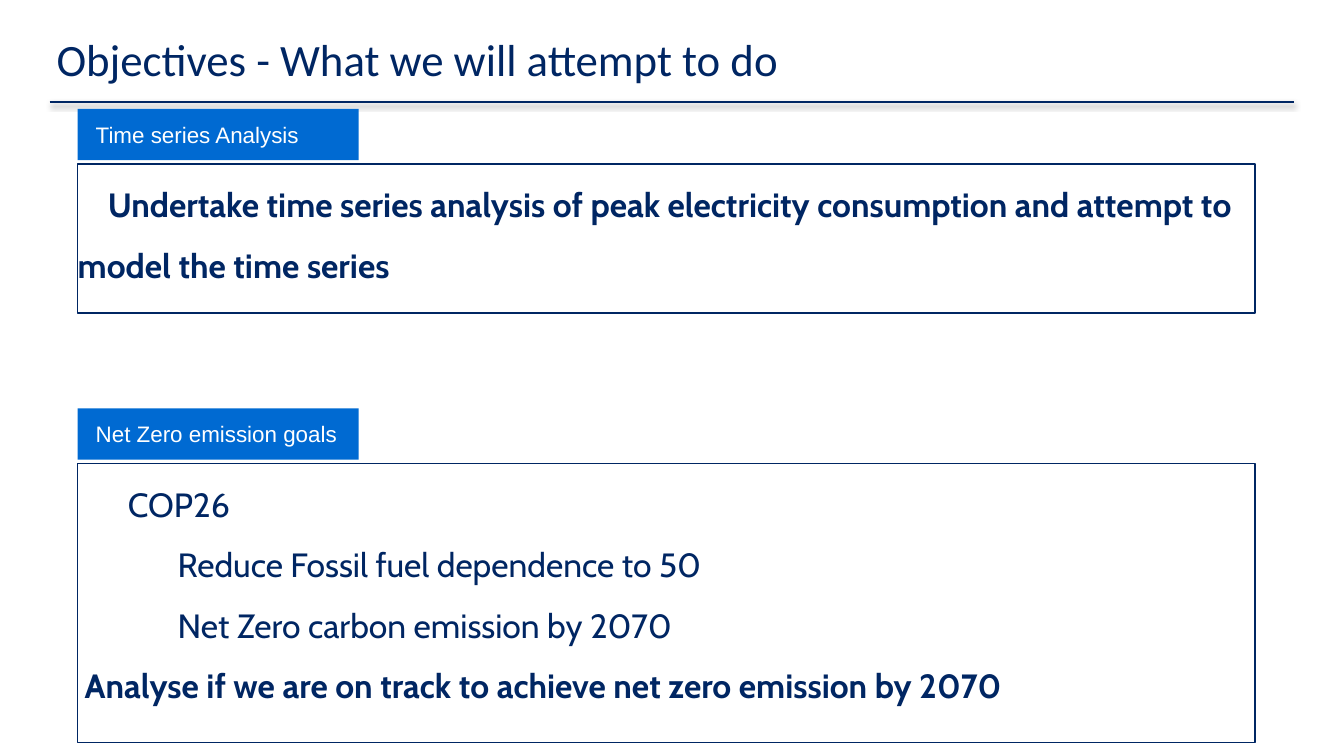
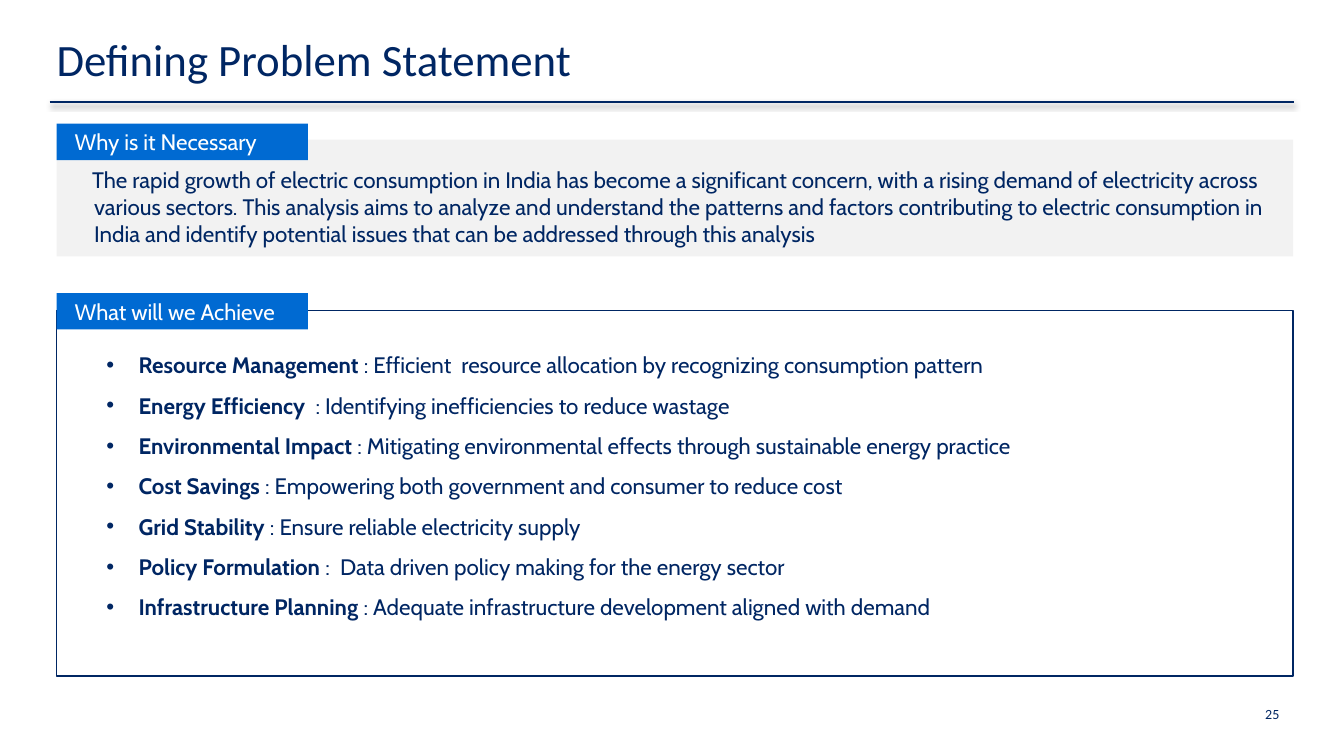
"""Build two slides on the objectives and problem statement of an electricity study."""
from dataclasses import dataclass

from lxml import etree
from pptx import Presentation
from pptx import util as u
from pptx.dml.color import RGBColor
from pptx.enum import shapes, text
from pptx.oxml import ns

COLOURS = {"navy": "002663", "blue": "006AD2", "grey": "F2F2F2", "white": "FFFFFF", "shadow": "000000"}
BODY_FONT = "Cabin"
TITLE_FONT = "Calibri"


@dataclass
class Line:
    """One paragraph: its text, an optional bold lead, and its indents in centimetres."""
    text: str
    lead: str = ""
    bold: bool = False
    margin: float = 0
    indent: float = 0
    bullet: str = ""


def colour(name):
    """Return the named colour."""
    return RGBColor.from_string(COLOURS[name])


def add_element(parent, tag, **attributes):
    """Append a drawing element to its parent."""
    return etree.SubElement(parent, ns.qn(tag), attributes)


class Deck:
    """Hold the style and the current slide."""

    def __init__(self):
        """Start an empty presentation."""
        self.presentation = Presentation()
        self.presentation.slide_width = u.Cm(25.4)
        self.presentation.slide_height = u.Cm(14.29)
        self.slide = None

    def add_slide(self, title):
        """Add a slide with its title and the rule below it."""
        self.slide = self.presentation.slides.add_slide(self.presentation.slide_layouts[6])
        self.add_rule()
        frame = self.add_text_box(1.07, 0.79, 22.86, 2.08)
        self.set_insets(frame)
        self.add_lines(frame, [Line(title)], 24, TITLE_FONT, spacing=0.82)

    def add_rule(self):
        """Draw the title rule with its soft shadow."""
        rule = self.slide.shapes.add_connector(
            shapes.MSO_CONNECTOR.STRAIGHT, u.Cm(0.94), u.Cm(1.93), u.Cm(24.46), u.Cm(1.93))
        rule.line.color.rgb = colour("navy")
        rule.line.width = u.Pt(0.75)
        effects = add_element(rule._element.spPr, "a:effectLst")
        shadow = add_element(effects, "a:outerShdw", blurRad=str(u.Pt(3.1)), dist=str(u.Pt(1.6)),
                             dir="5400000", rotWithShape="0")
        shade = add_element(shadow, "a:srgbClr", val=COLOURS["shadow"])
        add_element(shade, "a:alpha", val="38000")

    def add_text_box(self, left, top, width, height):
        """Add a wrapping text box and return its frame."""
        shape = self.slide.shapes.add_textbox(u.Cm(left), u.Cm(top), u.Cm(width), u.Cm(height))
        shape.text_frame.word_wrap = True
        return shape.text_frame

    def add_box(self, left, top, width, height, fill=None):
        """Add a filled or outlined rectangle and return its text frame."""
        shape = self.slide.shapes.add_shape(
            shapes.MSO_SHAPE.RECTANGLE, u.Cm(left), u.Cm(top), u.Cm(width), u.Cm(height))
        shape.shadow.inherit = False
        if fill:
            shape.fill.solid()
            shape.fill.fore_color.rgb = colour(fill)
            shape.line.fill.background()
        else:
            shape.fill.background()
            shape.line.color.rgb = colour("navy")
            shape.line.width = u.Pt(0.75)
        shape.text_frame.word_wrap = True
        return shape.text_frame

    def add_panel(self, left, top, width, height, lines, size, spacing=1.0, inset=0, fill=None):
        """Add a rectangle of body text that starts below the top inset."""
        frame = self.add_box(left, top, width, height, fill)
        frame.vertical_anchor = text.MSO_ANCHOR.TOP
        self.set_insets(frame, inset)
        self.add_lines(frame, lines, size, BODY_FONT, spacing=spacing)

    def add_label(self, left, top, width, height, caption, font=BODY_FONT):
        """Add a blue heading label."""
        frame = self.add_box(left, top, width, height, "blue")
        frame.vertical_anchor = text.MSO_ANCHOR.MIDDLE
        frame.margin_left = u.Cm(0.34)
        self.add_lines(frame, [Line(caption)], 12, font, "white")

    def add_page_number(self, number):
        """Add the page number at the bottom right."""
        frame = self.add_text_box(22.25, 13.18, 2.18, 0.64)
        frame.vertical_anchor = text.MSO_ANCHOR.MIDDLE
        self.add_lines(frame, [Line(number)], 7.5, TITLE_FONT, alignment=text.PP_ALIGN.RIGHT)

    def set_insets(self, frame, top=0):
        """Clear the insets of a frame, except the top one."""
        frame.margin_left = frame.margin_right = frame.margin_bottom = 0
        frame.margin_top = u.Cm(top)

    def add_lines(self, frame, lines, size, font, ink="navy", spacing=1.0, alignment=text.PP_ALIGN.LEFT):
        """Put the lines into a frame, one paragraph each."""
        for index, line in enumerate(lines):
            paragraph = frame.add_paragraph() if index else frame.paragraphs[0]
            paragraph.text = line.lead or line.text
            if line.lead:
                paragraph.add_run().text = line.text
            paragraph.alignment = alignment
            paragraph.line_spacing = spacing
            properties = paragraph._p.get_or_add_pPr()
            properties.set("marL", str(u.Cm(line.margin)))
            properties.set("indent", str(u.Cm(line.indent)))
            if line.bullet:
                add_element(properties, "a:buFont", typeface="Arial")
                add_element(properties, "a:buChar", char=line.bullet)
            for position, run in enumerate(paragraph.runs):
                run.font.size = u.Pt(size)
                run.font.name = font
                run.font.color.rgb = colour(ink)
                run.font.bold = line.bold or bool(line.lead and position == 0)


def build_objectives(deck):
    """Build the slide of objectives."""
    deck.add_slide("Objectives - What we will attempt to do")
    analysis = [Line("Undertake time series analysis of peak electricity consumption and attempt to "
                     "model the time series", bold=True, indent=0.57)]
    goals = [
        Line("COP26", margin=0.95),
        Line("Reduce Fossil fuel dependence to 50", margin=1.89),
        Line("Net Zero carbon emission by 2070", margin=1.89),
        Line("Analyse if we are on track to achieve net zero emission by 2070", bold=True, margin=0.13),
    ]
    sections = [("Time series Analysis", 2.06, 2.82, analysis),
                ("Net Zero emission goals", 7.72, 5.28, goals)]
    for caption, top, height, lines in sections:
        deck.add_panel(1.47, top + 1.04, 22.25, height, lines, 18, spacing=1.5)
        deck.add_label(1.47, top, 5.31, 0.97, caption, "Arial")


def build_problem(deck):
    """Build the slide of the problem statement."""
    deck.add_slide("Defining Problem Statement")
    deck.add_page_number("25")
    achievements = [
        ("Resource Management ", ": Efficient  resource allocation by recognizing consumption pattern"),
        ("Energy Efficiency  ", ": Identifying inefficiencies to reduce wastage"),
        ("Environmental Impact ", ": Mitigating environmental effects through sustainable energy practice"),
        ("Cost Savings ", ": Empowering both government and consumer to reduce cost"),
        ("Grid Stability ", ": Ensure reliable electricity supply"),
        ("Policy Formulation ", ":  Data driven policy making for the energy sector"),
        ("Infrastructure Planning ", ": Adequate infrastructure development aligned with demand"),
    ]
    bullets = [Line(detail, lead, margin=1.55, indent=-0.61, bullet="•") for lead, detail in achievements]
    reason = Line("The rapid growth of electric consumption in India has become a significant concern, with a "
                  "rising demand of electricity across various sectors. This analysis aims to analyze and "
                  "understand the patterns and factors contributing to electric consumption in India and "
                  "identify potential issues that can be addressed through this analysis",
                  margin=0.71, indent=-0.04)
    deck.add_panel(1.07, 5.87, 23.37, 6.91, bullets, 12, spacing=1.5, inset=0.52)
    deck.add_panel(1.07, 2.64, 23.37, 2.21, [reason], 12, inset=0.51, fill="grey")
    for caption, top in (("Why is it Necessary", 2.34), ("What will we Achieve", 5.54)):
        deck.add_label(1.07, top, 4.75, 0.69, caption)


def main():
    """Build and save the presentation."""
    deck = Deck()
    build_objectives(deck)
    build_problem(deck)
    deck.presentation.save("out.pptx")


if __name__ == "__main__":
    main()
